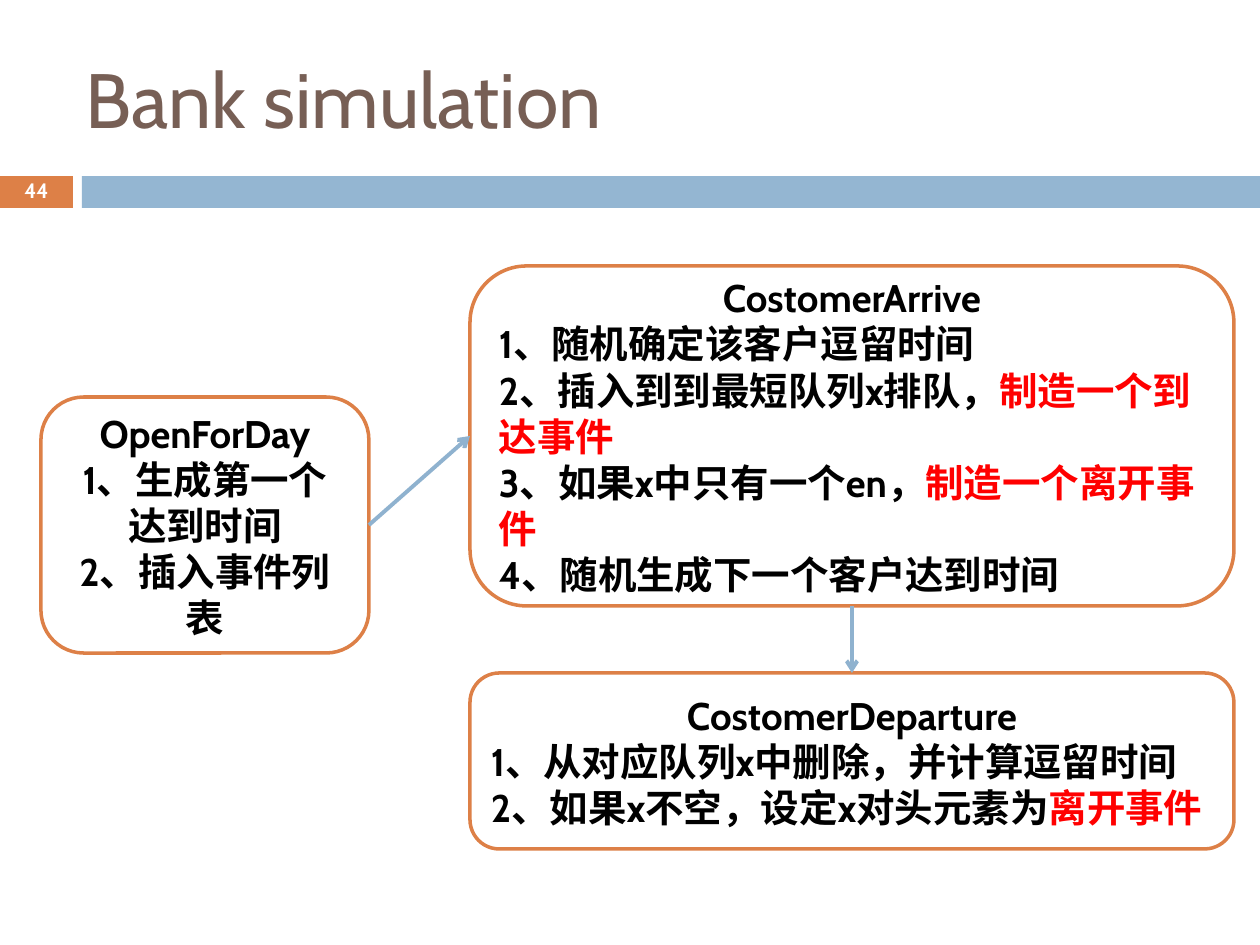
from lxml.etree import SubElement
from pptx import Presentation
from pptx.dml.color import RGBColor
from pptx.enum.shapes import MSO_CONNECTOR, MSO_SHAPE
from pptx.enum.text import MSO_ANCHOR, PP_ALIGN
from pptx.oxml.ns import qn
from pptx.util import Pt

PX = 914400 // 126
FONT = "Cabin"
BROWN = RGBColor(0x77, 0x5F, 0x55)
ORANGE = RGBColor(0xDD, 0x80, 0x47)
BLUE = RGBColor(0x94, 0xB6, 0xD2)
ARROW_BLUE = RGBColor(0x8F, 0xB2, 0xCF)
WHITE = RGBColor(0xFF, 0xFF, 0xFF)
BLACK = RGBColor(0, 0, 0)
RED = RGBColor(0xFF, 0, 0)
TOP, LEFT, BOTTOM, RIGHT = range(4)  # connection sites of a box

# Content: each step is a list of (text, colour) spans
TITLE = "Bank simulation"
PAGE_NUMBER = "44"
EVENTS = [
    {"name": "OpenForDay", "at": (41, 397, 328, 256), "align": PP_ALIGN.CENTER,
     "steps": [[("1、生成第一个达到时间", BLACK)],
               [("2、插入事件列表", BLACK)]]},
    {"name": "CostomerArrive", "at": (470, 266, 764, 340), "align": PP_ALIGN.LEFT,
     "steps": [[("1、随机确定该客户逗留时间", BLACK)],
               [("2、插入到到最短队列x排队，", BLACK), ("制造一个到达事件", RED)],
               [("3、如果x中只有一个en，", BLACK), ("制造一个离开事件", RED)],
               [("4、随机生成下一个客户达到时间", BLACK)]]},
    {"name": "CostomerDeparture", "at": (470, 673, 764, 176), "align": PP_ALIGN.LEFT,
     "steps": [[("1、从对应队列x中删除，并计算逗留时间", BLACK)],
               [("2、如果x不空，设定x对头元素为", BLACK), ("离开事件", RED)]]},
]
ARROWS = [("OpenForDay", RIGHT, "CostomerArrive", LEFT),
          ("CostomerArrive", BOTTOM, "CostomerDeparture", TOP)]


def scale(*lengths):
    return [length * PX for length in lengths]


def write(para, spans, size=22, bold=True, align=PP_ALIGN.LEFT, spacing=None):
    para.alignment = align
    if spacing:
        para.line_spacing = spacing
    for text, colour in spans:
        span = para.add_run()
        span.text = text
        span.font.name = FONT
        span.font.size = Pt(size)
        span.font.bold = bold
        span.font.color.rgb = colour


def add_box(kind, at, fill, line=None):
    box = slide.shapes.add_shape(kind, *scale(*at))
    box.shadow.inherit = False
    box.fill.solid()
    box.fill.fore_color.rgb = fill
    if line:
        box.line.color.rgb = line
        box.line.width = Pt(2)
    else:
        box.line.fill.background()
    box.text_frame.word_wrap = True
    box.text_frame.vertical_anchor = MSO_ANCHOR.MIDDLE
    return box


deck = Presentation()
deck.slide_width, deck.slide_height = scale(1260, 945)
slide = deck.slides.add_slide(deck.slide_layouts[5])

# Title
title = slide.shapes.title
title.left, title.top, title.width, title.height = scale(73, 38, 1124, 120)
title.text_frame.vertical_anchor = MSO_ANCHOR.MIDDLE
write(title.text_frame.paragraphs[0], [(TITLE, BROWN)], size=44, bold=False)

# Band with page number
number = add_box(MSO_SHAPE.RECTANGLE, (0, 176, 73, 32), ORANGE)
add_box(MSO_SHAPE.RECTANGLE, (82, 176, 1178, 32), BLUE)
frame = number.text_frame
frame.margin_top = frame.margin_bottom = 0
write(frame.paragraphs[0], [(PAGE_NUMBER, WHITE)], size=11.9,
      align=PP_ALIGN.CENTER, spacing=0.8)

# Event boxes
boxes = {}
for event in EVENTS:
    box = add_box(MSO_SHAPE.ROUNDED_RECTANGLE, event["at"], WHITE, line=ORANGE)
    write(box.text_frame.paragraphs[0], [(event["name"], BLACK)], align=PP_ALIGN.CENTER)
    for step in event["steps"]:
        write(box.text_frame.add_paragraph(), step, align=event["align"])
    boxes[event["name"]] = box

# Arrows between events
for start, start_site, end, end_site in ARROWS:
    arrow = slide.shapes.add_connector(MSO_CONNECTOR.STRAIGHT, 0, 0, 0, 0)
    arrow.begin_connect(boxes[start], start_site)
    arrow.end_connect(boxes[end], end_site)
    arrow.line.color.rgb = ARROW_BLUE
    arrow.line.width = Pt(2.25)
    SubElement(arrow.line._get_or_add_ln(), qn("a:tailEnd"), type="arrow")
    SubElement(arrow._element.spPr, qn("a:effectLst"))

deck.save("out.pptx")
